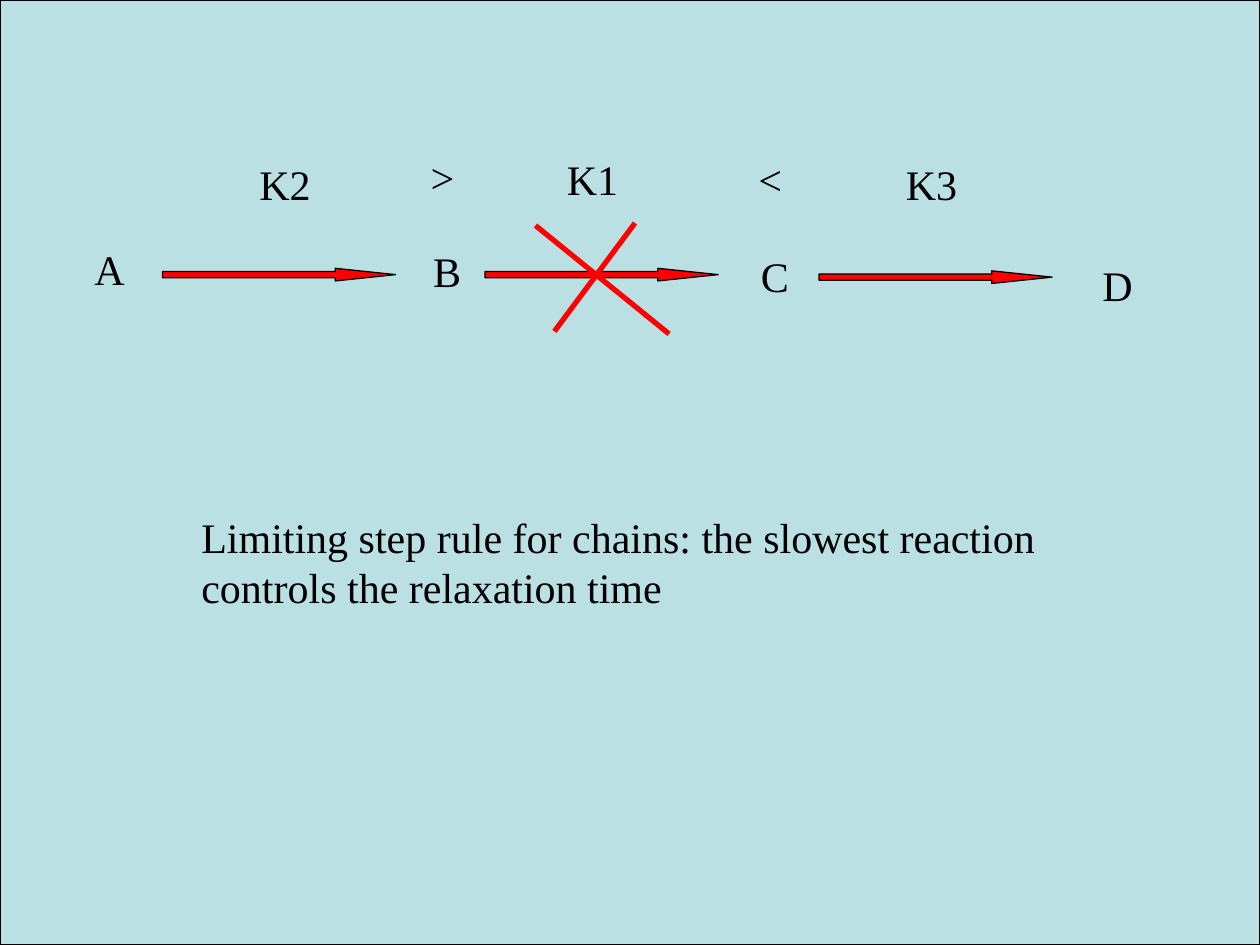
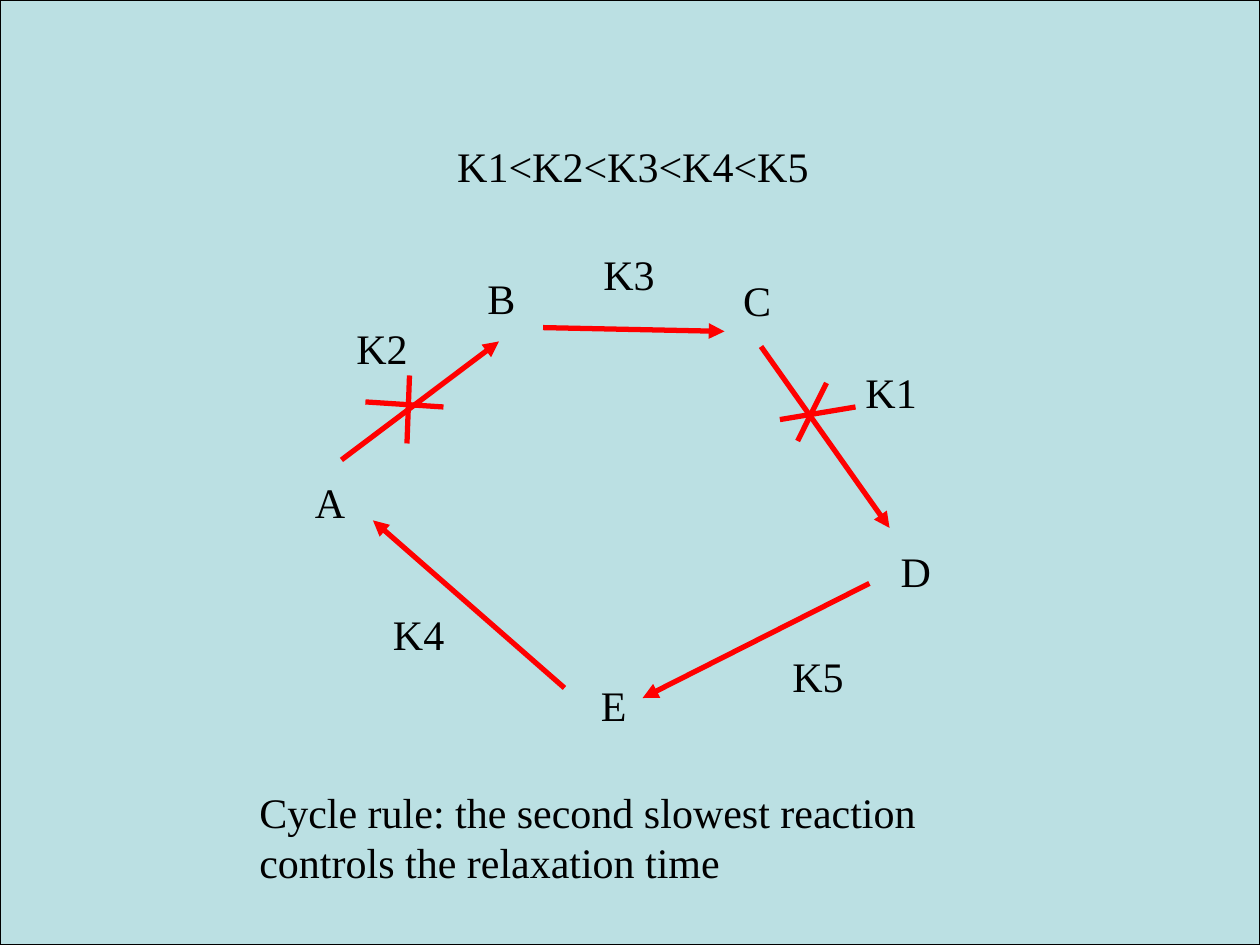
import pptx
import pptx.util
import pptx.dml.color
import pptx.enum.shapes
import pptx.enum.text
import pptx.oxml.ns
from dataclasses import dataclass
from lxml import etree

Inches = pptx.util.Inches
Pt = pptx.util.Pt


@dataclass(frozen=True)
class Theme:
    back: str = "BBE0E3"
    ink: str = "000000"
    red: str = "FF0000"
    font: str = "Times New Roman"
    size: int = 24
    thin: float = 0.75
    thick: int = 3


theme = Theme()
WIDE, HIGH = 10, 7.5

# Content: labels are (text, left, top, width), lines are (x1, y1, x2, y2)
chain = {
    "labels": [
        ("A", 0.65, 1.88, 0.44), ("B", 3.34, 1.9, 0.44),
        ("C", 5.94, 1.94, 0.44), ("D", 8.65, 2.01, 0.44),
        ("K2", 1.96, 1.21, 0.61), ("K1", 4.4, 1.17, 0.61),
        ("K3", 7.09, 1.21, 0.61),
        (">", 3.32, 1.15, 0.39), ("<", 5.92, 1.17, 0.39),
        ("Limiting step rule for chains: the slowest reaction\n"
         "controls the relaxation time", 1.5, 4.01, 6.9),
    ],
    "blocks": [(1.29, 2.13), (3.85, 2.13), (6.5, 2.15)],
    "arrows": [],
    "strikes": [(4.25, 1.79, 5.31, 2.65), (4.4, 2.63, 5.04, 1.77)],
}
cycle = {
    "labels": [
        ("A", 2.4, 3.73, 0.44), ("B", 3.77, 2.11, 0.44),
        ("C", 5.8, 2.13, 0.44), ("D", 7.05, 4.28, 0.44),
        ("E", 4.67, 5.34, 0.4),
        ("K1", 6.77, 2.86, 0.61), ("K2", 2.73, 2.51, 0.61),
        ("K3", 4.69, 1.92, 0.61), ("K4", 3.02, 4.78, 0.61),
        ("K5", 6.19, 5.11, 0.61),
        ("K1<K2<K3<K4<K5", 3.53, 1.07, 2.99),
        ("Cycle rule: the second slowest reaction\n"
         "controls the relaxation time", 1.96, 6.19, 5.49),
    ],
    "blocks": [],
    "arrows": [
        (2.71, 3.65, 3.96, 2.71), (4.31, 2.6, 5.75, 2.63),
        (6.04, 2.75, 7.06, 4.19), (6.9, 4.63, 5.1, 5.54),
        (4.48, 5.46, 2.96, 4.13),
    ],
    "strikes": [
        (6.19, 3.33, 6.79, 3.23), (6.56, 3.04, 6.33, 3.5),
        (3.25, 2.98, 3.23, 3.52), (2.9, 3.19, 3.52, 3.23),
    ],
}


def color(code):
    return pptx.dml.color.RGBColor.from_string(code)


def shape(slide, kind, box, fill):
    item = slide.shapes.add_shape(kind, *map(Inches, box))
    item.shadow.inherit = False
    item.fill.solid()
    item.fill.fore_color.rgb = color(fill)
    item.line.color.rgb = color(theme.ink)
    item.line.width = Pt(theme.thin)
    return item


def label(slide, text, left, top, width):
    rows = text.split("\n")
    high = 0.1 + 0.4 * len(rows)
    box = slide.shapes.add_textbox(*map(Inches, (left, top, width, high)))
    frame = box.text_frame
    frame.word_wrap = False
    frame.auto_size = pptx.enum.text.MSO_AUTO_SIZE.SHAPE_TO_FIT_TEXT
    frame.text = text
    for para in frame.paragraphs:
        para.font.name = theme.font
        para.font.size = Pt(theme.size)
        para.font.color.rgb = color(theme.ink)


def line(slide, ends, head=False):
    kind = pptx.enum.shapes.MSO_CONNECTOR.STRAIGHT
    item = slide.shapes.add_connector(kind, *map(Inches, ends))
    item.line.color.rgb = color(theme.red)
    item.line.width = Pt(theme.thick)
    props = item._element.spPr
    qn = pptx.oxml.ns.qn
    if head:
        tip = etree.SubElement(props.find(qn("a:ln")), qn("a:tailEnd"))
        tip.set("type", "triangle")
    etree.SubElement(props, qn("a:effectLst"))


def build(deck, data):
    slide = deck.slides.add_slide(deck.slide_layouts[6])
    kinds = pptx.enum.shapes.MSO_SHAPE

    # Backdrop shared by all slides
    shape(slide, kinds.RECTANGLE, (0, 0, WIDE, HIGH), theme.back)

    # Block arrows with long, slim heads
    for left, top in data["blocks"]:
        item = shape(slide, kinds.RIGHT_ARROW, (left, top, 1.85, 0.1), theme.red)
        item.adjustments[0] = 0.5
        item.adjustments[1] = 4.79

    for entry in data["labels"]:
        label(slide, *entry)

    # Reaction arrows, then the strokes that cross out slow steps
    for ends in data["arrows"]:
        line(slide, ends, head=True)
    for ends in data["strikes"]:
        line(slide, ends)


def main():
    deck = pptx.Presentation()
    deck.slide_width, deck.slide_height = Inches(WIDE), Inches(HIGH)
    for data in (chain, cycle):
        build(deck, data)
    deck.save("out.pptx")


if __name__ == "__main__":
    main()
